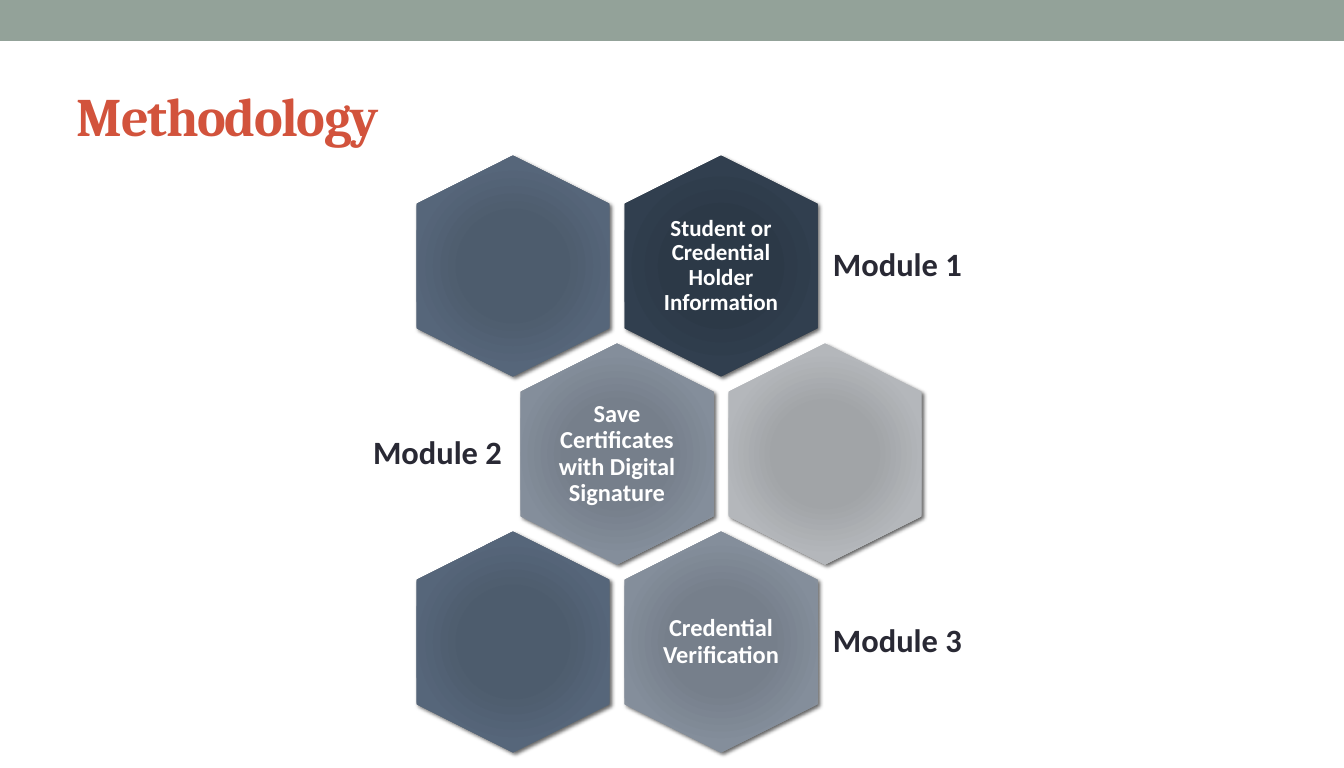
from pptx import Presentation, util as u
from pptx.dml.color import RGBColor
from pptx.enum import shapes, text
from pptx.oxml import parse_xml
from pptx.oxml.ns import nsdecls, qn

PX = 914400 / 97.5
SLIDE_W, SLIDE_H = 1344, 768

TITLE = "Methodology"
NAVY = ("2B3948", "2C3947", "313F4F", "38434E")
SLATE = ("4C5C6E", "4D5C6D", "56667A", "5F6C7A")
STEEL = ("767F8C", "767F8B", "848E9B", "8E959F")
SILVER = ("A1A4A8", "A1A4A7", "B4B7BB", "BDBFC2")
STOPS = (0, 34, 70, 100)

# Per row: the module hexagon's column, colours, text and size; its label and side;
# then the column and colours of the plain hexagon beside it
ROWS = [
    (1, NAVY, "Student or Credential Holder Information", 17, "Module 1", "right", 0, SLATE),
    (0, STEEL, "Save Certificates with Digital Signature", 18, "Module 2", "left", 1, SILVER),
    (1, STEEL, "Credential Verification", 18, "Module 3", "right", 0, SLATE),
]

FIRST_X, FIRST_Y = 513, 266      # centre of the top left hexagon
STEP_X, STEP_Y = 208, 188        # odd rows move right by half a step
HEX_W, HEX_H = 221, 193          # before the quarter turn
TEXT_W, TEXT_H = 133, 152
LABEL_W, LABEL_H = 240, 133
LABEL_SIDES = {                  # offset of the label's left edge from the hexagon's centre
    "right": (102, text.PP_ALIGN.LEFT),
    "left": (-105 - LABEL_W, text.PP_ALIGN.RIGHT),
}


def px(*values):
    return [u.Emu(round(v * PX)) for v in values]


def rgb(color):
    return RGBColor.from_string(color)


def centred(cx, cy, w, h):
    return cx - w / 2, cy - h / 2, w, h


def add_text(slide, words, box, *, size, color, font="Calibri", align=text.PP_ALIGN.LEFT,
             inset=(10, 10), line_spacing=0.9, tracking=None):
    tf = slide.shapes.add_textbox(*px(*box)).text_frame
    tf.word_wrap = True
    tf.vertical_anchor = text.MSO_ANCHOR.MIDDLE
    tf.margin_left, tf.margin_top = tf.margin_right, tf.margin_bottom = px(*inset)
    p = tf.paragraphs[0]
    p.alignment, p.line_spacing = align, line_spacing
    r = p.add_run()
    r.text = words
    r.font.name, r.font.size, r.font.bold = font, u.Pt(size), True
    r.font.color.rgb = rgb(color)
    if tracking is not None:
        r.font._element.set("spc", str(tracking * 100))


def add_hexagon(slide, cx, cy, colors):
    """Draw a hexagon on its point, with a round gradient and a soft shadow."""
    sp = slide.shapes.add_shape(shapes.MSO_SHAPE.HEXAGON, *px(*centred(cx, cy, HEX_W, HEX_H)))
    sp.rotation = 90
    sp.line.fill.background()
    sp.shadow.inherit = False
    stops = "".join(f'<a:gs pos="{pos * 1000}"><a:srgbClr val="{color}"/></a:gs>'
                    for pos, color in zip(STOPS, colors))
    spPr = sp._element.spPr
    spPr.find(qn("a:ln")).addprevious(parse_xml(
        f'<a:gradFill {nsdecls("a")} rotWithShape="1"><a:gsLst>{stops}</a:gsLst>'
        '<a:path path="circle"><a:fillToRect l="100000" t="100000" r="100000" b="100000"/>'
        '</a:path></a:gradFill>'))
    spPr.find(qn("a:effectLst")).append(parse_xml(
        f'<a:outerShdw {nsdecls("a")} blurRad="{u.Pt(3)}" dist="{u.Pt(2)}" dir="2700000" '
        'rotWithShape="0"><a:srgbClr val="000000"><a:alpha val="60000"/></a:srgbClr>'
        '</a:outerShdw>'))


def main():
    prs = Presentation()
    prs.slide_width, prs.slide_height = px(SLIDE_W, SLIDE_H)
    slide = prs.slides.add_slide(prs.slide_layouts[6])

    band = slide.shapes.add_shape(shapes.MSO_SHAPE.RECTANGLE, *px(0, 0, SLIDE_W, 41))
    band.fill.solid()
    band.fill.fore_color.rgb = rgb("93A299")
    band.line.fill.background()
    band.shadow.inherit = False

    add_text(slide, TITLE, (67, 59, 1209, 111), size=40, color="D2533C", font="Cambria",
             inset=(10, 5), line_spacing=1.0, tracking=-1)

    for i, (col, colors, words, size, label, side, plain_col, plain_colors) in enumerate(ROWS):
        row_x = FIRST_X + i % 2 * STEP_X / 2
        cx, cy = row_x + col * STEP_X, FIRST_Y + i * STEP_Y
        add_hexagon(slide, cx, cy, colors)
        add_text(slide, words, centred(cx, cy, TEXT_W, TEXT_H), size=size, color="FFFFFF",
                 align=text.PP_ALIGN.CENTER, inset=(7, 7))
        offset, align = LABEL_SIDES[side]
        add_text(slide, label, (cx + offset, cy - LABEL_H / 2, LABEL_W, LABEL_H),
                 size=24, color="292934", align=align)
        add_hexagon(slide, row_x + plain_col * STEP_X, cy, plain_colors)

    prs.save("out.pptx")


if __name__ == "__main__":
    main()
